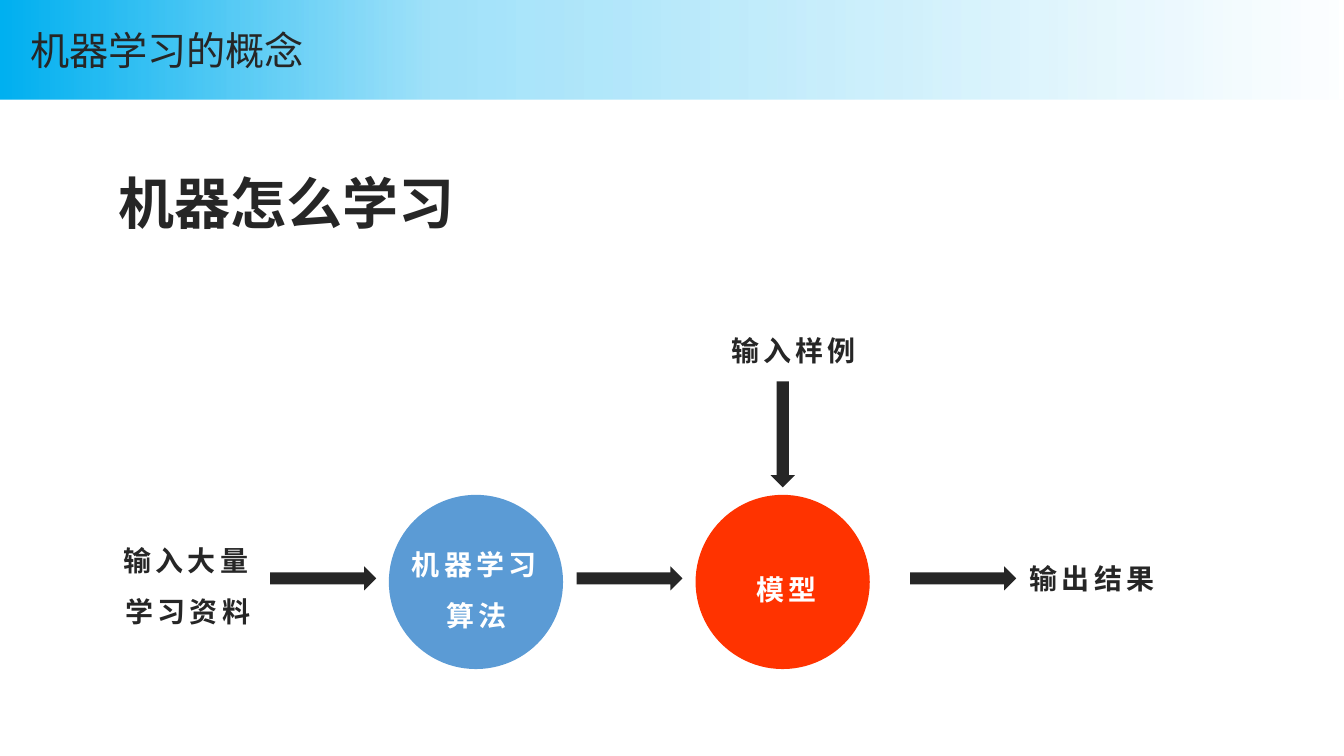
"""Build a slide on how a machine learns, as a flow from study data to output."""
from lxml.etree import SubElement
from pptx import Presentation
from pptx.dml.color import RGBColor
from pptx.enum.shapes import MSO_SHAPE
from pptx.enum.text import MSO_ANCHOR, MSO_AUTO_SIZE, PP_ALIGN
from pptx.oxml.ns import qn
from pptx.util import Cm, Pt

FONT = "Noto Sans CJK SC"
DARK = RGBColor(0x26, 0x26, 0x26)
WHITE = RGBColor(0xFF, 0xFF, 0xFF)
BLUE = RGBColor(0x5B, 0x9B, 0xD5)
RED = RGBColor(0xFF, 0x33, 0x00)
SKY = RGBColor(0x00, 0xB0, 0xF0)


def write(shape, text, size, color, bold=True, spacing=0):
    shape.text_frame.text = text
    paragraph = shape.text_frame.paragraphs[0]
    paragraph.font.size = Pt(size)
    paragraph.font.bold = bold
    paragraph.font.color.rgb = color
    paragraph.font.name = FONT
    properties = paragraph.font._element
    properties.set("spc", str(spacing * 100))
    SubElement(properties, qn("a:ea"), typeface=FONT)
    return paragraph


def add_solid(kind, left, top, width, height, color):
    shape = slide.shapes.add_shape(kind, Cm(left), Cm(top), Cm(width), Cm(height))
    shape.shadow.inherit = False
    shape.fill.solid()
    shape.fill.fore_color.rgb = color
    shape.line.fill.background()
    return shape


presentation = Presentation()
presentation.slide_width = Cm(33.87)
presentation.slide_height = Cm(19.05)
slide = presentation.slides.add_slide(presentation.slide_layouts[5])
slide.background.fill.solid()
slide.background.fill.fore_color.rgb = WHITE

title = slide.shapes.title
title.left, title.top, title.width, title.height = Cm(0), Cm(0), Cm(33.87), Cm(2.51)
title.fill.gradient()
title.fill.gradient_angle = 0
stops = title._element.spPr.find(qn("a:gradFill")).find(qn("a:gsLst"))
for stop in list(stops):
    stops.remove(stop)
for position, opacity in [(0, 100), (32, 37), (100, 0)]:
    stop = SubElement(stops, qn("a:gs"), pos=str(position * 1000))
    color = SubElement(stop, qn("a:srgbClr"), val=str(SKY))
    SubElement(color, qn("a:alpha"), val=str(opacity * 1000))
title.text_frame.auto_size = MSO_AUTO_SIZE.NONE
title.text_frame.vertical_anchor = MSO_ANCHOR.MIDDLE
title.text_frame.margin_left = Cm(0.76)
write(title, "机器学习的概念", 28, DARK, bold=False).alignment = PP_ALIGN.LEFT

heading = slide.shapes.add_textbox(Cm(2.74), Cm(4.11), Cm(9.07), Cm(1.96))
heading.text_frame.word_wrap = False
write(heading, "机器怎么学习", 40, DARK)

for left, color in [(9.8, BLUE), (17.53, RED)]:
    add_solid(MSO_SHAPE.OVAL, left, 12.47, 4.39, 4.39, color)

for left, top, rotation in [(6.81, 14.27, 0), (14.53, 14.27, 0), (22.94, 14.27, 0), (18.39, 10.64, 90)]:
    arrow = add_solid(MSO_SHAPE.RIGHT_ARROW, left, top, 2.67, 0.61, DARK)
    arrow.rotation = rotation

labels = [
    ("输入大量学习资料", 2.74, 13.16, 3.99, 2.82, DARK),
    ("机器学习算法", 10.01, 13.26, 3.99, 2.82, WHITE),
    ("模型", 17.83, 13.87, 3.99, 1.4, WHITE),
    ("输入样例", 17.6, 7.85, 4.8, 1.4, DARK),
    ("输出结果", 25.12, 13.59, 4.8, 1.4, DARK),
]
for text, left, top, width, height, color in labels:
    label = slide.shapes.add_textbox(Cm(left), Cm(top), Cm(width), Cm(height))
    label.text_frame.word_wrap = True
    paragraph = write(label, text, 20, color, spacing=3)
    paragraph.alignment = PP_ALIGN.CENTER
    paragraph.line_spacing = 1.5

presentation.save("out.pptx")
